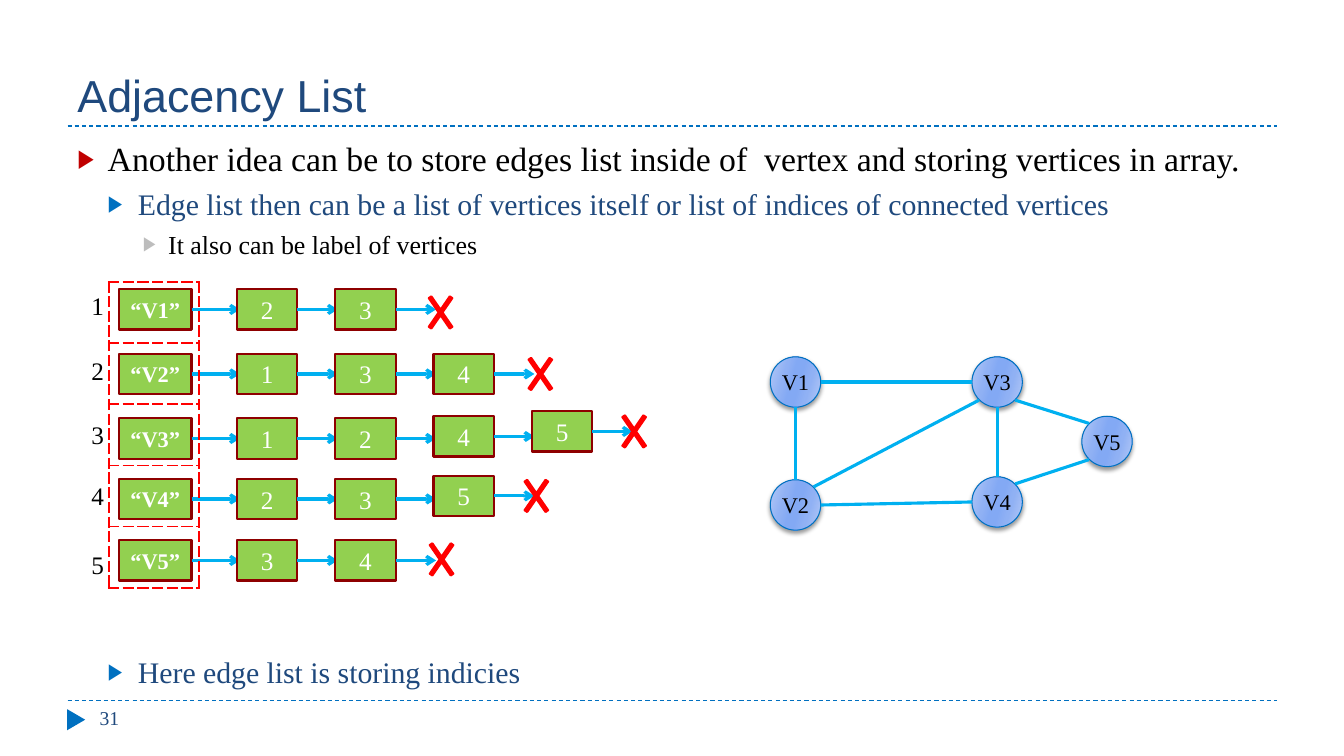
from lxml import etree
from pptx import Presentation
from pptx.dml.color import RGBColor
from pptx.enum.dml import MSO_LINE
from pptx.enum.shapes import MSO_CONNECTOR, MSO_SHAPE
from pptx.enum.text import MSO_ANCHOR, PP_ALIGN
from pptx.oxml import parse_xml
from pptx.oxml.ns import qn
from pptx.util import Inches, Pt

STRAIGHT = MSO_CONNECTOR.STRAIGHT
RECTANGLE, OVAL = MSO_SHAPE.RECTANGLE, MSO_SHAPE.OVAL
TRIANGLE, CROSS = MSO_SHAPE.ISOSCELES_TRIANGLE, MSO_SHAPE.MATH_MULTIPLY
LEFT, CENTER = PP_ALIGN.LEFT, PP_ALIGN.CENTER
TOP, MIDDLE, BOTTOM = MSO_ANCHOR.TOP, MSO_ANCHOR.MIDDLE, MSO_ANCHOR.BOTTOM
DASH = MSO_LINE.DASH
BLACK, WHITE = RGBColor(0, 0, 0), RGBColor(255, 255, 255)
NAVY = RGBColor(0x1F, 0x49, 0x7D)
BLUE = RGBColor(0x00, 0x70, 0xC0)
SKY = RGBColor(0x00, 0xB0, 0xF0)
GREEN = RGBColor(0x92, 0xD0, 0x50)
MAROON = RGBColor(0x8E, 0, 0)
RED = RGBColor(0xFF, 0, 0)
CRIMSON = RGBColor(0xC0, 0, 0)
GRAY = RGBColor(0xBD, 0xBD, 0xBD)
SERIF = "Times New Roman"
DRAWING = 'xmlns:a="http://schemas.openxmlformats.org/drawingml/2006/main"'

presentation = Presentation()
presentation.slide_width, presentation.slide_height = Inches(13.33), Inches(7.5)
slide = presentation.slides.add_slide(presentation.slide_layouts[6])
shapes = slide.shapes


def write(shape, text, size, color, align=CENTER, anchor=MIDDLE, **font_values):
    frame = shape.text_frame
    frame.word_wrap = True
    frame.vertical_anchor = anchor
    paragraph = frame.paragraphs[0]
    paragraph.alignment = align
    run = paragraph.add_run()
    run.text = text
    run.font.color.rgb = color
    for name, value in {"name": SERIF, "size": Pt(size), **font_values}.items():
        setattr(run.font, name, value)


def add_line(start, end, color, width):
    points = [Inches(value) for value in (*start, *end)]
    connector = shapes.add_connector(STRAIGHT, *points)
    connector.line.color.rgb = color
    connector.line.width = Pt(width)
    etree.SubElement(connector._element.spPr, qn("a:effectLst"))
    return connector


# Rules, page marker, title and page number
for rule_y in (6.95, 1.25):
    add_line((0.67, rule_y), (12.67, rule_y), BLUE, 0.75).line.dash_style = DASH
marker = shapes.add_shape(TRIANGLE, Inches(0.65), Inches(7.05), Inches(0.21), Inches(0.18))
marker.rotation = 90
marker.shadow.inherit = False
marker.fill.solid()
marker.fill.fore_color.rgb = BLUE
marker.line.fill.background()
title = shapes.add_textbox(Inches(0.67), Inches(0.17), Inches(12), Inches(1.08))
write(title, "Adjacency List", 32, NAVY, LEFT, BOTTOM, name="Arial")
page_number = shapes.add_textbox(Inches(0.89), Inches(6.95), Inches(2.89), Inches(0.4))
write(page_number, "31", 14, NAVY, LEFT, TOP)

# Bulleted text: wording, level, size, text colour, bullet colour, indent, hanging, space before
bullets = [
    ("Another idea can be to store edges list inside of  vertex and storing vertices in array.",
     0, 24.1, BLACK, CRIMSON, 0.3, 0.3, 6),
    ("Edge list then can be a list of vertices itself or list of indices of connected vertices",
     1, 21.3, NAVY, BLUE, 0.6, 0.3, 5),
    ("It also can be label of vertices", 2, 18.5, BLACK, GRAY, 0.9, 0.25, 5),
    ("Here edge list is storing indicies", 1, 21.3, NAVY, BLUE, 0.6, 0.3, 282),
]
body = shapes.add_textbox(Inches(0.67), Inches(1.32), Inches(12), Inches(5.4))
body.text_frame.word_wrap = True
for index, (text, level, size, color, bullet_color, indent, hanging, before) in enumerate(bullets):
    frame = body.text_frame
    paragraph = frame.add_paragraph() if index else frame.paragraphs[0]
    run = paragraph.add_run()
    run.text = text
    run.font.name, run.font.size = SERIF, Pt(size)
    run.font.color.rgb = color
    paragraph.level = level
    paragraph.space_before = Pt(before)
    properties = paragraph._p.get_or_add_pPr()
    properties.set("marL", str(Inches(indent)))
    properties.set("indent", str(-Inches(hanging)))
    for bullet_part in (f'<a:buClr {DRAWING}><a:srgbClr val="{bullet_color}"/></a:buClr>',
                        f'<a:buSzPct {DRAWING} val="76000"/>',
                        f'<a:buFont {DRAWING} typeface="Arial"/>',
                        f'<a:buChar {DRAWING} char="▶"/>'):
        properties.append(parse_xml(bullet_part))

# Adjacency lists: row top, number top, (neighbour, lift above row), cross position
adjacency = [
    (2.87, 2.8, [("2", 0), ("3", 0)], (4.17, 2.81)),
    (3.51, 3.44, [("1", 0), ("3", 0), ("4", 0)], (5.16, 3.42)),
    (4.15, 4.08, [("1", 0), ("2", 0), ("4", 0.02), ("5", 0.07)], (6.09, 3.99)),
    (4.75, 4.68, [("2", 0), ("3", 0), ("5", 0.03)], (5.12, 4.63)),
    (5.36, 5.36, [("3", 0), ("4", 0)], (4.18, 5.26)),
]
for number, (row_top, number_top, neighbours, cross_at) in enumerate(adjacency, 1):
    # Label, left, top, width, arrow length, text size
    cells = [(f"“V{number}”", 1.18, row_top, 0.72, 0.48, 16)]
    cells += [(neighbour, 2.35 + 0.975 * column, row_top - lift, 0.6, 0.4, 18)
              for column, (neighbour, lift) in enumerate(neighbours)]
    for column, (label, left, top, width, reach, size) in enumerate(cells):
        box = shapes.add_shape(RECTANGLE, Inches(left), Inches(top), Inches(width), Inches(0.4))
        box.shadow.inherit = False
        box.fill.solid()
        box.fill.fore_color.rgb = GREEN
        box.line.color.rgb = MAROON
        box.line.width = Pt(1.5)
        write(box, label, size, WHITE, bold=column == 0)
        right, middle = left + width, top + 0.2
        arrow = add_line((right, middle), (right + reach, middle), SKY, 2.25)
        arrow.begin_connect(box, 3)
        etree.SubElement(arrow.line._get_or_add_ln(), qn("a:tailEnd"), type="arrow")

    cross = shapes.add_shape(CROSS, *map(Inches, cross_at), Inches(0.4), Inches(0.58))
    cross.adjustments[0] = 0.077
    cross.shadow.inherit = False
    cross.fill.solid()
    cross.fill.fore_color.rgb = RED
    cross.line.color.rgb = RED
    cross.line.width = Pt(1.5)
    row_number = shapes.add_textbox(Inches(0.67), Inches(number_top), Inches(0.6), Inches(0.47))
    write(row_number, str(number), 18, BLACK)

# Dashed array frame around the vertices
array_frame = shapes.add_table(5, 1, Inches(1.08), Inches(2.8), Inches(0.89), Inches(3.03))
array_table = array_frame.table
array_table.first_row = array_table.horz_banding = False
for row in array_table.rows:
    cell = row.cells[0]
    cell_properties = cell._tc.get_or_add_tcPr()
    for side in ("lnL", "lnR", "lnT", "lnB"):
        cell_properties.append(parse_xml(
            f'<a:{side} {DRAWING} w="{Pt(1.5)}"><a:solidFill><a:srgbClr val="{RED}"/>'
            f'</a:solidFill><a:prstDash val="sysDash"/></a:{side}>'))
    cell.fill.background()

# Graph nodes, by centre
NODE_RADIUS = 0.25
DIAGONAL = 0.18
nodes = {"V1": (7.89, 3.79), "V2": (7.89, 5.01), "V3": (9.89, 3.79),
         "V4": (9.89, 4.98), "V5": (10.98, 4.38)}
stops = [(0, "B4C9F6"), (30, "90B1F4"), (45, "83A9F4"),
         (55, "83A9F4"), (73, "90B1F4"), (100, "B4C9F6")]
stop_xml = "".join(f'<a:gs pos="{position * 1000}"><a:srgbClr val="{color}"/></a:gs>'
                   for position, color in stops)
for label, (x, y) in nodes.items():
    node = shapes.add_shape(OVAL, Inches(x - NODE_RADIUS), Inches(y - NODE_RADIUS),
                            Inches(2 * NODE_RADIUS), Inches(2 * NODE_RADIUS))
    node.fill.gradient()
    node.fill.gradient_angle = 344
    stop_list = node._element.spPr.find(".//" + qn("a:gsLst"))
    stop_list.getparent().replace(
        stop_list, parse_xml(f"<a:gsLst {DRAWING}>{stop_xml}</a:gsLst>"))
    node.line.color.rgb = BLUE
    node.line.width = Pt(0.75)
    node.shadow.inherit = False
    node._element.spPr.find(qn("a:effectLst")).append(parse_xml(
        f'<a:outerShdw {DRAWING} blurRad="{Pt(3)}" dist="{Pt(2)}" dir="5400000" rotWithShape="0">'
        '<a:srgbClr val="000000"><a:alpha val="40000"/></a:srgbClr></a:outerShdw>'))
    write(node, label, 16, BLACK)
    node.text_frame.word_wrap = False

# Graph edges, joined at points of the compass
compass = {"N": (0, -NODE_RADIUS), "S": (0, NODE_RADIUS),
           "W": (-NODE_RADIUS, 0), "E": (NODE_RADIUS, 0),
           "NW": (-DIAGONAL, -DIAGONAL), "NE": (DIAGONAL, -DIAGONAL),
           "SW": (-DIAGONAL, DIAGONAL), "SE": (DIAGONAL, DIAGONAL)}
edges = [("V3", "W", "V1", "E"), ("V4", "W", "V2", "E"), ("V5", "SW", "V4", "NE"),
         ("V1", "S", "V2", "N"), ("V3", "SW", "V2", "NE"), ("V5", "NW", "V3", "SE"),
         ("V4", "N", "V3", "S")]
for first, first_side, second, second_side in edges:
    start, end = ([base + offset for base, offset in zip(nodes[name], compass[side])]
                  for name, side in ((first, first_side), (second, second_side)))
    add_line(start, end, SKY, 2.25)

presentation.save("out.pptx")
